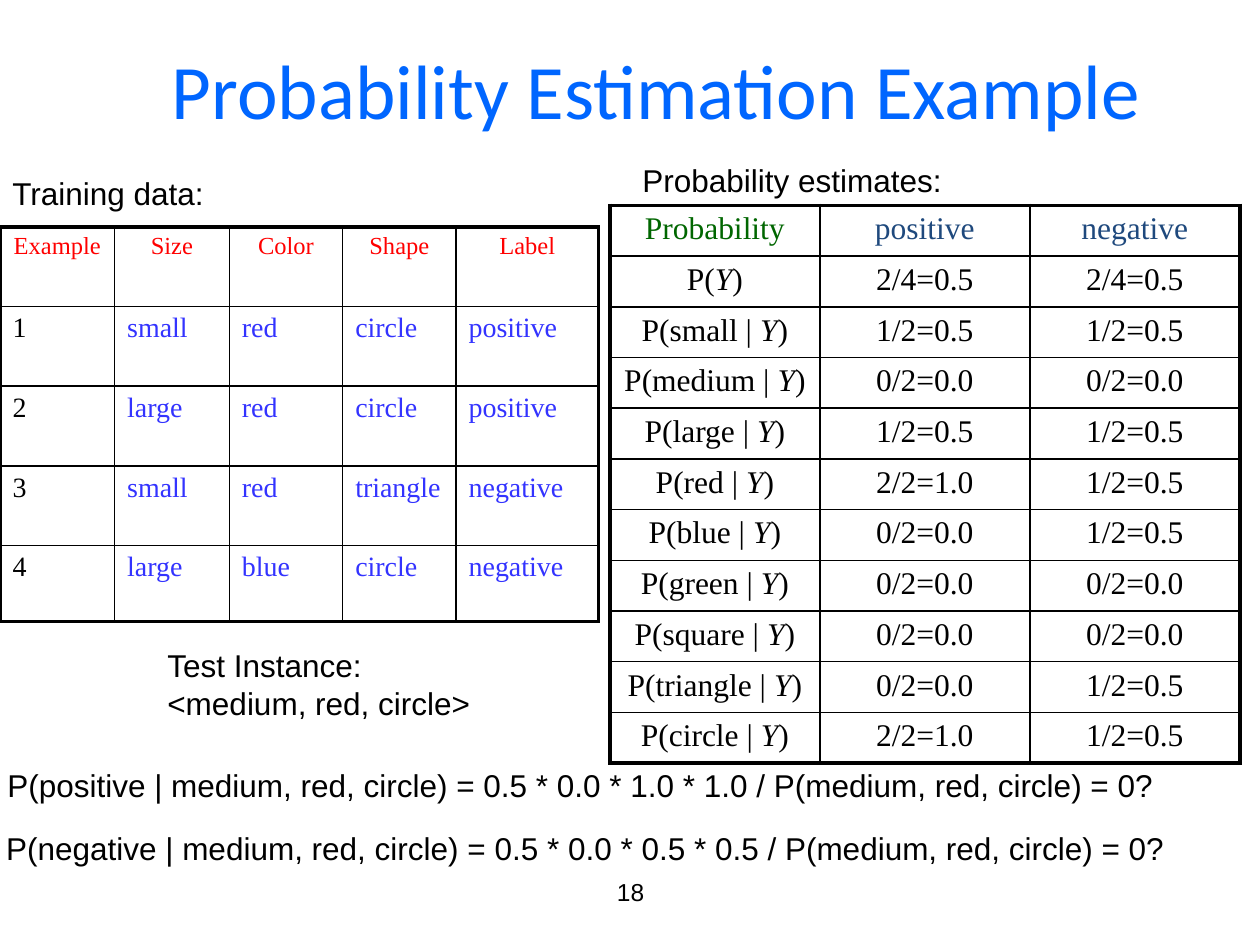
from dataclasses import dataclass
from typing import NamedTuple

from lxml.etree import SubElement
from pptx import Presentation
from pptx.dml.color import RGBColor
from pptx.enum.text import MSO_ANCHOR, PP_ALIGN
from pptx.oxml.ns import qn
from pptx.util import Emu, Inches, Pt

SLIDE_WIDTH, SLIDE_HEIGHT = Inches(10), Inches(7.5)
THICK, THIN = Pt(2.25), Pt(1)
SERIF = "Times New Roman"
COLORS = {
    "text": "000000",
    "title": "0066FF",
    "estimate": "006600",
    "class": "1F497D",
    "header": "FF0000",
    "feature": "3333FF",
}


class Area(NamedTuple):
    """Left, top, width and height as percentages of the slide."""
    left: float
    top: float
    width: float
    height: float

    def emu(self) -> list[Emu]:
        sides = (SLIDE_WIDTH, SLIDE_HEIGHT) * 2
        return [Emu(round(side * share / 100)) for side, share in zip(sides, self)]


@dataclass
class TextStyle:
    color: str = "text"
    size: float = 18
    font: str = "Arial"
    align: PP_ALIGN = PP_ALIGN.LEFT


@dataclass
class Label:
    area: Area
    lines: list[str]
    style: TextStyle
    anchor: MSO_ANCHOR = MSO_ANCHOR.TOP
    wrap: bool = False


@dataclass
class Grid:
    """A table whose column and row weights share out its area."""
    area: Area
    columns: list[float]
    rows: list[float]
    content: list[list[str]]
    styles: list[list[TextStyle]]


def write(paragraph, text: str, style: TextStyle) -> None:
    """Write the text, with every part between asterisk pairs in italics."""
    paragraph.alignment = style.align
    for index, part in enumerate(text.split("**")):
        run = paragraph.add_run()
        run.text = part
        run.font.color.rgb = RGBColor.from_string(COLORS[style.color])
        font_format = {"name": style.font, "size": Pt(style.size),
                       "bold": False, "italic": index % 2 == 1}
        for name, value in font_format.items():
            setattr(run.font, name, value)


def add_label(slide, label: Label) -> None:
    frame = slide.shapes.add_textbox(*label.area.emu()).text_frame
    frame.word_wrap = label.wrap
    frame.vertical_anchor = label.anchor
    for index, line in enumerate(label.lines):
        paragraph = frame.add_paragraph() if index else frame.paragraphs[0]
        write(paragraph, line, label.style)


def set_borders(cell, widths: dict[str, int]) -> None:
    properties = cell._tc.get_or_add_tcPr()
    for position, (side, width) in enumerate(widths.items()):
        line = SubElement(properties, qn(f"a:ln{side}"), w=str(int(width)))
        fill = SubElement(line, qn("a:solidFill"))
        SubElement(fill, qn("a:srgbClr"), val=COLORS["text"])
        properties.insert(position, line)


def add_grid(slide, grid: Grid) -> None:
    last_row, last_column = len(grid.rows) - 1, len(grid.columns) - 1
    left, top, width, height = grid.area.emu()
    table = slide.shapes.add_table(last_row + 1, last_column + 1,
                                   left, top, width, height).table
    table.first_row = table.horz_banding = False
    for column, weight in zip(table.columns, grid.columns):
        column.width = Emu(round(width * weight / sum(grid.columns)))
    for row, weight in zip(table.rows, grid.rows):
        row.height = Emu(round(height * weight / sum(grid.rows)))
    for r, texts in enumerate(grid.content):
        for c, text in enumerate(texts):
            cell = table.cell(r, c)
            cell.fill.background()
            outer = {"L": c == 0, "R": c == last_column,
                     "T": r == 0, "B": r == last_row}
            set_borders(cell, {side: THICK if edge else THIN
                               for side, edge in outer.items()})
            write(cell.text_frame.paragraphs[0], text, grid.styles[r][c])


def probability_grid() -> Grid:
    estimates = [
        ("", "2/4=0.5", "2/4=0.5"),
        ("small", "1/2=0.5", "1/2=0.5"),
        ("medium", "0/2=0.0", "0/2=0.0"),
        ("large", "1/2=0.5", "1/2=0.5"),
        ("red", "2/2=1.0", "1/2=0.5"),
        ("blue", "0/2=0.0", "1/2=0.5"),
        ("green", "0/2=0.0", "0/2=0.0"),
        ("square", "0/2=0.0", "0/2=0.0"),
        ("triangle", "0/2=0.0", "1/2=0.5"),
        ("circle", "2/2=1.0", "1/2=0.5"),
    ]
    content = [["Probability", "positive", "negative"]]
    for feature, positive, negative in estimates:
        condition = f"{feature} | " if feature else ""
        content.append([f"P({condition}**Y**)", positive, negative])
    heading, category, body = (TextStyle(color, 18, SERIF, PP_ALIGN.CENTER)
                               for color in ("estimate", "class", "text"))
    return Grid(Area(48.4, 21.73, 50, 59.07), [1] * 3, [1] * len(content), content,
                [[heading, category, category]] + [[body] * 3] * len(estimates))


def training_grid() -> Grid:
    content = [
        ["Example", "Size", "Color", "Shape", "Label"],
        ["1", "small", "red", "circle", "positive"],
        ["2", "large", "red", "circle", "positive"],
        ["3", "small", "red", "triangle", "negative"],
        ["4", "large", "blue", "circle", "negative"],
    ]
    header = TextStyle("header", 14, SERIF, PP_ALIGN.CENTER)
    number, feature = (TextStyle(color, 16, SERIF) for color in ("text", "feature"))
    return Grid(Area(0, 24, 47.5, 41.8), [0.91, 0.91, 0.9, 0.9, 1.13],
                [0.63] * 4 + [0.6], content,
                [[header] * 5] + [[number] + [feature] * 4] * 4)


def posterior(label: str, factors: str) -> str:
    evidence = "medium, red, circle"
    return f"P({label} | {evidence}) = {factors} / P({evidence}) = 0?"


def add_title(slide, text: str) -> None:
    title = slide.shapes.title
    title.left, title.top, title.width, title.height = Area(7.5, 1.07, 89.2, 16.67).emu()
    title.text_frame.vertical_anchor = MSO_ANCHOR.MIDDLE
    write(title.text_frame.paragraphs[0], text,
          TextStyle("title", 44, "Calibri", PP_ALIGN.CENTER))


def main() -> None:
    presentation = Presentation()
    presentation.slide_width, presentation.slide_height = SLIDE_WIDTH, SLIDE_HEIGHT
    slide = presentation.slides.add_slide(presentation.slide_layouts.get_by_name("Title Only"))
    add_title(slide, "Probability Estimation Example")
    for grid in (probability_grid(), training_grid()):
        add_grid(slide, grid)
    body = TextStyle()
    labels = [
        Label(Area(34.2, 91.07, 31.7, 6.67), ["18"],
              TextStyle(size=14, align=PP_ALIGN.CENTER), MSO_ANCHOR.MIDDLE, True),
        Label(Area(12.3, 67.73, 26.2, 9.47),
              ["Test Instance:", "<medium, red, circle>"], body),
        Label(Area(-0.4, 80.4, 93.8, 5.47),
              [posterior("positive", "0.5 * 0.0 * 1.0 * 1.0")], body),
        Label(Area(-0.5, 87.07, 95.5, 5.47),
              [posterior("negative", "0.5 * 0.0 * 0.5 * 0.5")], body),
        Label(Area(0, 17.73, 17.4, 5.33), ["Training data:"], body),
        Label(Area(50, 16.4, 26, 5.33), ["Probability estimates:"], body),
    ]
    for label in labels:
        add_label(slide, label)
    presentation.save("out.pptx")


if __name__ == "__main__":
    main()
